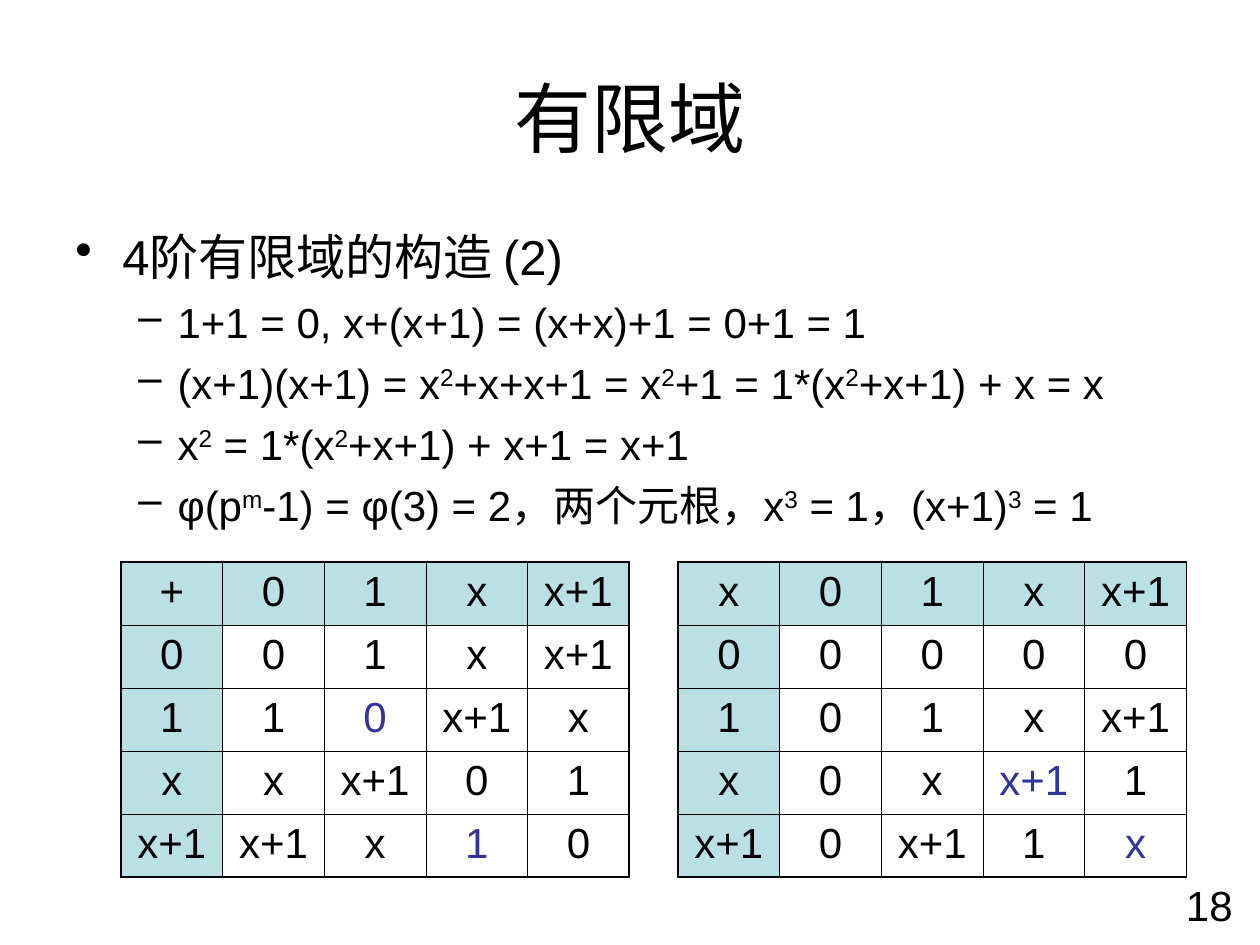
from lxml import etree
from pptx import Presentation
from pptx.dml.color import RGBColor
from pptx.enum.text import MSO_ANCHOR, PP_ALIGN
from pptx.oxml.ns import qn
from pptx.util import Cm, Pt

LEFT, CENTER, RIGHT = PP_ALIGN.LEFT, PP_ALIGN.CENTER, PP_ALIGN.RIGHT
TOP, MIDDLE = MSO_ANCHOR.TOP, MSO_ANCHOR.MIDDLE
BLACK = RGBColor(0x00, 0x00, 0x00)
HEADER = RGBColor(0xBB, 0xE0, 0xE3)
ACCENT = RGBColor(0x33, 0x33, 0x99)
FONT = "Arial"

TITLE = "有限域"
TOPIC = "4阶有限域的构造 (2)"
# Text between carets is superscript.
STEPS = [
    "1+1 = 0, x+(x+1) = (x+x)+1 = 0+1 = 1",
    "(x+1)(x+1) = x^2^+x+x+1 = x^2^+1 = 1*(x^2^+x+1) + x = x",
    "x^2^ = 1*(x^2^+x+1) + x+1 = x+1",
    "φ(p^m^-1) = φ(3) = 2，两个元根，x^3^ = 1，(x+1)^3^ = 1",
]
PAGE = "18"

ELEMENTS = ["0", "1", "x", "x+1"]
ADDITION = [
    ["0", "1", "x", "x+1"],
    ["1", "0", "x+1", "x"],
    ["x", "x+1", "0", "1"],
    ["x+1", "x", "1", "0"],
]
MULTIPLICATION = [
    ["0", "0", "0", "0"],
    ["0", "1", "x", "x+1"],
    ["0", "x", "x+1", "1"],
    ["0", "x+1", "1", "x"],
]
OPERATIONS = [
    ("+", ADDITION, {(2, 2), (4, 3)}, 2.44),
    ("x", MULTIPLICATION, {(3, 3), (4, 4)}, 13.67),
]
TABLE_TOP, COLUMN, ROW = 11.33, 2.05, 1.265
THIN, THICK = Pt(0.45), Pt(1.08)


def style(paragraph, size, align=LEFT, color=BLACK, before=0):
    paragraph.alignment = align
    paragraph.space_before = Pt(before)
    paragraph.font.name = FONT
    paragraph.font.size = Pt(size)
    paragraph.font.color.rgb = color


def add_box(slide, left, top, width, height, anchor=TOP):
    frame = slide.shapes.add_textbox(Cm(left), Cm(top), Cm(width), Cm(height)).text_frame
    frame.word_wrap = True
    frame.vertical_anchor = anchor
    return frame


def add_bullet(paragraph, text, mark, margin, hanging, level=0):
    for index, part in enumerate(text.split("^")):
        if part:
            run = paragraph.add_run()
            run.text = part
            if index % 2:
                run.font._element.set("baseline", "30000")
    paragraph.level = level
    properties = paragraph._p.get_or_add_pPr()
    properties.set("marL", str(Cm(margin)))
    properties.set("indent", str(-Cm(hanging)))
    bullet = etree.Element(qn("a:buChar"), char=mark)
    properties.find(qn("a:defRPr")).addprevious(bullet)


def set_borders(cell, widths):
    properties = cell._tc.get_or_add_tcPr()
    for index, (side, width) in enumerate(widths.items()):
        line = etree.Element(qn(f"a:ln{side}"), w=str(width))
        fill = etree.SubElement(line, qn("a:solidFill"))
        etree.SubElement(fill, qn("a:srgbClr"), val=str(BLACK))
        properties.insert(index, line)


def add_operation(slide, sign, results, highlights, left):
    rows = [[sign] + ELEMENTS]
    rows += [[element] + values for element, values in zip(ELEMENTS, results)]
    count = len(rows)
    table = slide.shapes.add_table(
        count, count, Cm(left), Cm(TABLE_TOP), Cm(COLUMN * count), Cm(ROW * count)
    ).table
    table.first_row = table.horz_banding = False
    for index in range(count):
        table.columns[index].width = Cm(COLUMN)
        table.rows[index].height = Cm(ROW)
    last = count - 1
    for r, values in enumerate(rows):
        for c, value in enumerate(values):
            cell = table.cell(r, c)
            cell.text = value
            color = ACCENT if (r, c) in highlights else BLACK
            style(cell.text_frame.paragraphs[0], 24, CENTER, color, 6)
            if r == 0 or c == 0:
                cell.fill.solid()
                cell.fill.fore_color.rgb = HEADER
            else:
                cell.fill.background()
            set_borders(cell, {
                "L": THICK if c == 0 else THIN,
                "R": THICK if c == last else THIN,
                "T": THICK if r == 0 else THIN,
                "B": THICK if r == last else THIN,
            })


def main():
    deck = Presentation()
    deck.slide_width, deck.slide_height = Cm(25.4), Cm(19.05)
    slide = deck.slides.add_slide(deck.slide_layouts[6])

    title = add_box(slide, 1.27, 0.76, 22.86, 3.18, MIDDLE).paragraphs[0]
    title.text = TITLE
    style(title, 44, CENTER)

    body = add_box(slide, 1.27, 4.45, 22.86, 7.29)
    topic = body.paragraphs[0]
    style(topic, 28, before=7)
    add_bullet(topic, TOPIC, "•", 0.95, 0.95)
    for text in STEPS:
        step = body.add_paragraph()
        style(step, 24, before=6)
        add_bullet(step, text, "–", 2.06, 0.79, level=1)

    for operation in OPERATIONS:
        add_operation(slide, *operation)

    page = add_box(slide, 19.18, 17.6, 5.92, 1.32).paragraphs[0]
    page.text = PAGE
    style(page, 24, RIGHT)

    deck.save("out.pptx")


if __name__ == "__main__":
    main()
